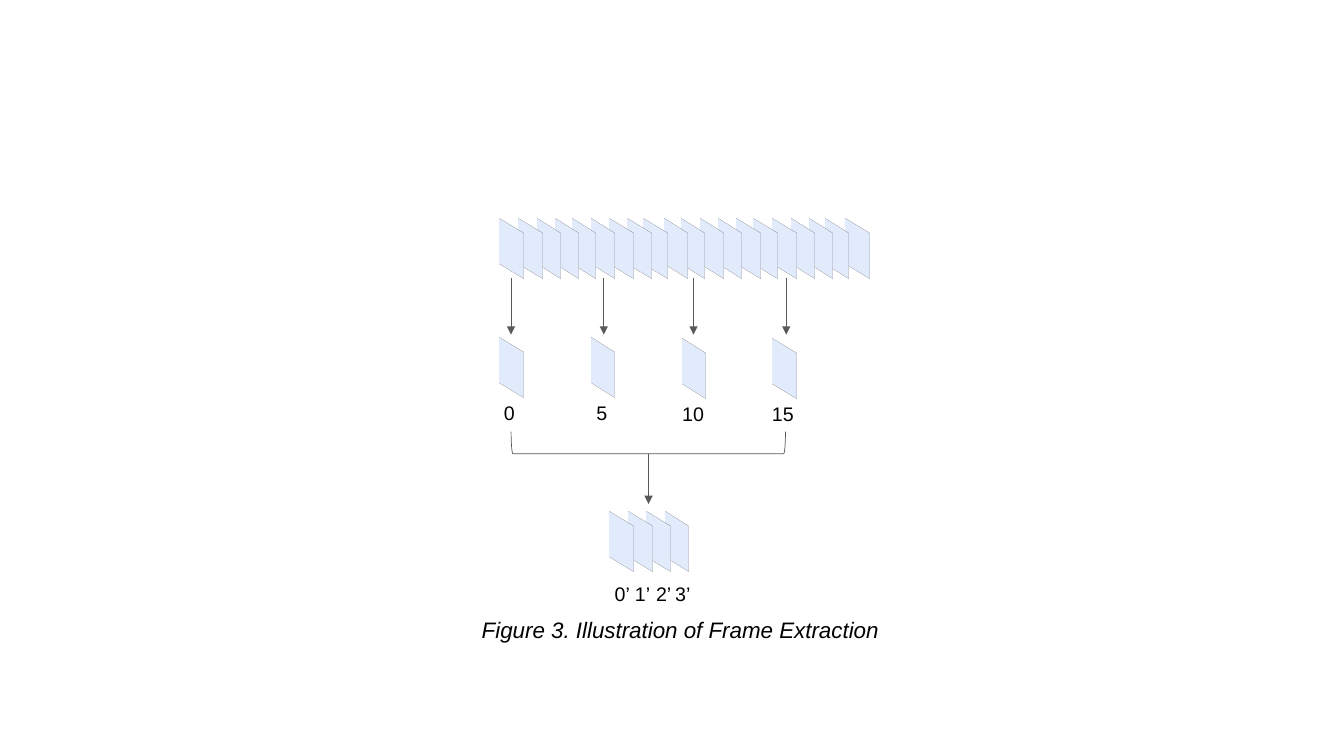
"""Draw the frame extraction figure: a strip of frames, four picks, one short stack."""
import pptx
import pptx.dml.color
import pptx.enum.shapes
import pptx.enum.text
import pptx.util
import lxml.etree

Pt = pptx.util.Pt
space = "{http://schemas.openxmlformats.org/drawingml/2006/main}"
deck = pptx.Presentation()
deck.slide_width, deck.slide_height = Pt(960), Pt(540)
slide = deck.slides.add_slide(deck.slide_layouts[6])
shapes = slide.shapes


def color(code):
    return pptx.dml.color.RGBColor.from_string(code)


def label(text, left, top, wide, size=14, slant=False):
    box = shapes.add_textbox(Pt(left), Pt(top), Pt(wide), Pt(size * 1.26 + 6.7))
    frame = box.text_frame
    frame.word_wrap = True
    frame.auto_size = pptx.enum.text.MSO_AUTO_SIZE.SHAPE_TO_FIT_TEXT
    frame.text = text
    font = frame.paragraphs[0].runs[0].font
    font.name, font.size, font.italic = "Arial", Pt(size), slant
    font.color.rgb = color("000000")


first = 346.3
steps = [0, 13.7, 26.6, 39.6, 51.8, 65.5, 78.5, 91.4, 103, 117.4]
picks = [(first, 245.5), (411.8, 245.5), (476.6, 246.2), (541.4, 246.2)]
half = [(first + step, 160.6) for step in reversed(steps)]
rest = [(left + 129.6, top) for left, top in half]
stack = [(424.8 + step, 370.1) for step in reversed(steps[:4])]
for sheets in (rest, half, picks, stack):
    home = shapes if sheets is picks else shapes.add_group_shape().shapes
    for left, top in sheets:
        sheet = home.add_shape(
            pptx.enum.shapes.MSO_SHAPE.RECTANGLE, Pt(left), Pt(top), Pt(38.2), Pt(33.8))
        sheet.shadow.inherit = False
        sheet.fill.solid()
        sheet.fill.fore_color.rgb = color("DAE3F3")
        sheet.line.color.rgb = color("B4C7E7")
        sheet.line.width = Pt(1)
        scene = lxml.etree.SubElement(sheet._element.spPr, space + "scene3d")
        lxml.etree.SubElement(scene, space + "camera", prst="isometricOffAxis1Left")
        lxml.etree.SubElement(scene, space + "lightRig", rig="threePt", dir="t")

arrows = [(x, 198.5, 239) for x in (365, 431.3, 495.4, 561.6)] + [(463.3, 324, 360)]
for x, top, end in arrows:
    arrow = shapes.add_connector(
        pptx.enum.shapes.MSO_CONNECTOR.STRAIGHT, Pt(x), Pt(top), Pt(x), Pt(end))
    arrow.line.color.rgb = color("595959")
    arrow.line.width = Pt(0.5)
    lxml.etree.SubElement(arrow.line._get_or_add_ln(), space + "tailEnd", type="triangle")
    lxml.etree.SubElement(arrow._element.spPr, space + "effectLst")

brace = shapes.add_shape(
    pptx.enum.shapes.MSO_SHAPE.LEFT_BRACKET, Pt(455.2), Pt(218.2), Pt(15.8), Pt(196))
brace.rotation = 270
brace.shadow.inherit = False
brace.fill.background()
brace.line.color.rgb = color("595959")
brace.line.width = Pt(0.5)

for text, left, top, wide in [("0", 352.8, 283, 24.5), ("5", 419, 283, 24.5),
                              ("10", 480.2, 283.7, 30.5), ("15", 544.3, 283.7, 31)]:
    label(text, left, top, wide)
for i, left in enumerate([432, 446.4, 461.5, 475.2]):
    label(f"{i}’", left, 411.8, 25.2)
label("Figure 3. Illustration of Frame Extraction", 337, 436.3, 299.5, 16, True)

deck.save("out.pptx")
